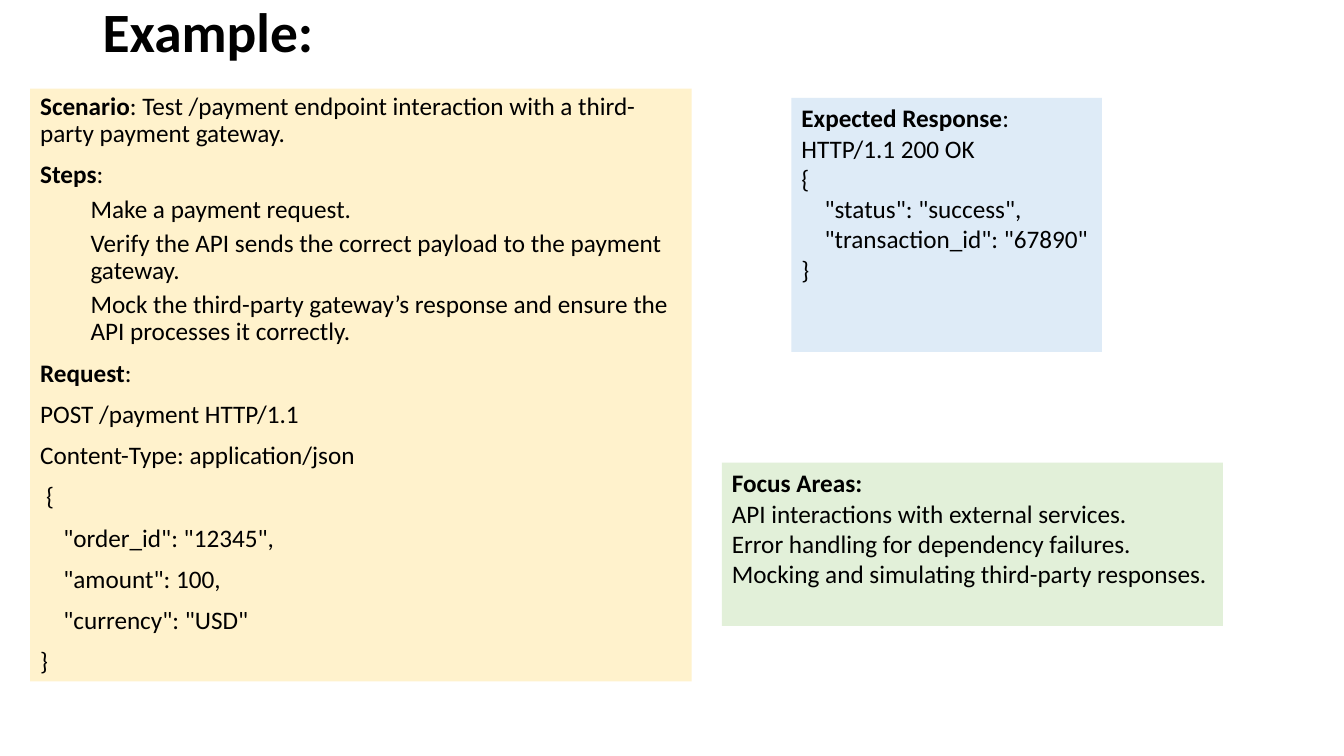
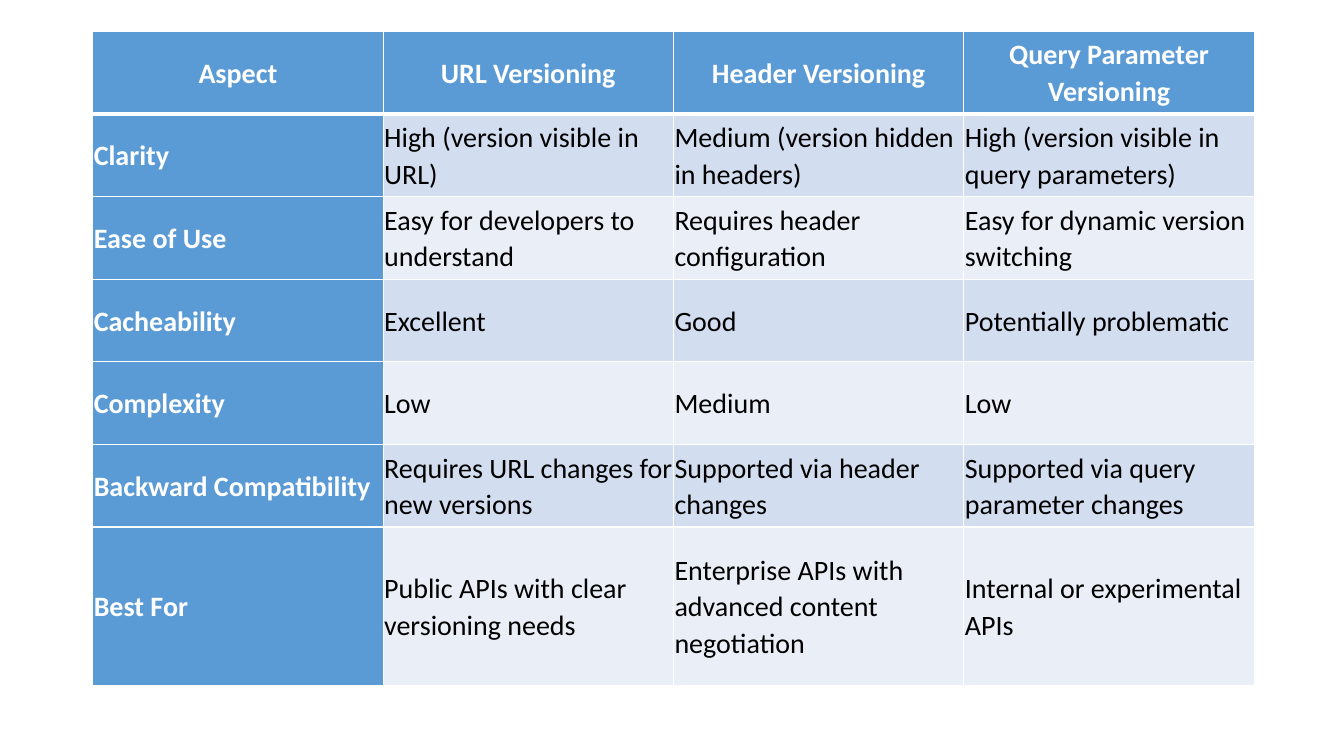
from lxml import etree
from pptx import Presentation
from pptx import util as u
from pptx.dml.color import RGBColor
from pptx.enum import shapes, text
from pptx.oxml.ns import qn

BLACK, WHITE, BLUE = "000000", "FFFFFF", "5B9BD5"
CREAM, GREEN, SKY = "FFF2CC", "E2F0D9", "DEEBF7"
BANDS = ["D2DEEF", "EAEFF7"]


def rgb(value):
    return RGBColor.from_string(value)


class Deck:
    """Holds the shared style and the current slide."""

    font = "Calibri"

    def __init__(self):
        self.prs = Presentation()
        self.prs.slide_width = u.Inches(13.33)
        self.prs.slide_height = u.Inches(7.5)
        self.s = None

    def slide(self):
        self.s = self.prs.slides.add_slide(self.prs.slide_layouts[6])

    def run(self, p, words, size=18, bold=False, color=BLACK):
        r = p.add_run()
        r.text = words
        r.font.name = self.font
        r.font.size = u.Pt(size)
        r.font.bold = bold
        r.font.color.rgb = rgb(color)

    def title(self, words):
        tf = self.s.shapes.add_textbox(
            u.Inches(0.92), u.Inches(0.04), u.Inches(11.5), u.Inches(0.6)).text_frame
        tf.word_wrap = True
        tf.vertical_anchor = text.MSO_ANCHOR.MIDDLE
        tf.margin_top = tf.margin_bottom = 0
        p = tf.paragraphs[0]
        p.line_spacing = 0.9
        self.run(p, words, 39.6, True)

    def panel(self, x, y, w, h, fill, lines, spacing=1.0, gap=0, step_gap=0):
        sp = self.s.shapes.add_shape(
            shapes.MSO_SHAPE.RECTANGLE, u.Inches(x), u.Inches(y), u.Inches(w), u.Inches(h))
        sp.shadow.inherit = False
        sp.fill.solid()
        sp.fill.fore_color.rgb = rgb(fill)
        sp.line.fill.background()
        tf = sp.text_frame
        tf.word_wrap = True
        tf.vertical_anchor = text.MSO_ANCHOR.TOP
        for i, (heading, words, indent) in enumerate(lines):
            p = tf.add_paragraph() if i else tf.paragraphs[0]
            p.alignment = text.PP_ALIGN.LEFT
            p.line_spacing = spacing
            is_step = indent == STEP
            p.space_before = u.Pt((step_gap if is_step else gap) if i else 0)
            p.level = 1 if is_step else 0
            pPr = p._p.get_or_add_pPr()
            pPr.set("marL", str(u.Inches(indent)))
            pPr.set("indent", "0")
            if heading:
                self.run(p, heading, bold=True)
            if words:
                self.run(p, words)

    def border(self, cell, **widths):
        tcPr = cell._tc.get_or_add_tcPr()
        for i, side in enumerate("LRTB"):
            ln = etree.Element(qn("a:ln" + side), w=str(u.Pt(widths.get(side, 1))))
            fill = etree.SubElement(ln, qn("a:solidFill"))
            etree.SubElement(fill, qn("a:srgbClr"), val=WHITE)
            tcPr.insert(i, ln)

    def table(self, x, y, widths, heights, rows):
        table = self.s.shapes.add_table(
            len(rows), len(widths), u.Inches(x), u.Inches(y),
            u.Inches(sum(widths)), u.Inches(sum(heights))).table
        table.first_col = True
        for column, w in zip(table.columns, widths):
            column.width = u.Inches(w)
        for row, h in zip(table.rows, heights):
            row.height = u.Inches(h)
        for i, row in enumerate(rows):
            for j, words in enumerate(row):
                cell = table.cell(i, j)
                label = i == 0 or j == 0
                cell.fill.solid()
                cell.fill.fore_color.rgb = rgb(BLUE if label else BANDS[(i - 1) % 2])
                cell.vertical_anchor = text.MSO_ANCHOR.MIDDLE
                cell.margin_left = cell.margin_right = u.Inches(0.01)
                cell.margin_top = cell.margin_bottom = u.Inches(0.01)
                p = cell.text_frame.paragraphs[0]
                p.alignment = text.PP_ALIGN.LEFT if i else text.PP_ALIGN.CENTER
                p.line_spacing = 1.07
                self.run(p, words, 20, label, WHITE if label else BLACK)
                self.border(cell, T=3 if i == 1 else 1, B=1 if i else 3)


STEP, FIELD, BRACE = 0.5, 0.23, 0.06

SCENARIO = [
    ("Scenario", ": Test /payment endpoint interaction with a third-party payment gateway.", 0),
    ("Steps", ":", 0),
    ("", "Make a payment request.", STEP),
    ("", "Verify the API sends the correct payload to the payment gateway.", STEP),
    ("", "Mock the third-party gateway’s response and ensure the API processes it correctly.", STEP),
    ("Request", ":", 0),
    ("", "POST /payment HTTP/1.1", 0),
    ("", "Content-Type: application/json", 0),
    ("", "{", BRACE),
    ("", '"order_id": "12345",', FIELD),
    ("", '"amount": 100,', FIELD),
    ("", '"currency": "USD"', FIELD),
    ("", "}", 0),
]
FOCUS = [
    ("Focus Areas:", "", 0),
    ("", "API interactions with external services.", 0),
    ("", "Error handling for dependency failures.", 0),
    ("", "Mocking and simulating third-party responses.", 0),
]
RESPONSE = [
    ("Expected Response", ":", 0),
    ("", "HTTP/1.1 200 OK", 0),
    ("", "{", 0),
    ("", '"status": "success",', FIELD),
    ("", '"transaction_id": "67890"', FIELD),
    ("", "}", 0),
]
VERSIONING = [
    ["Aspect", "URL Versioning", "Header Versioning", "Query Parameter Versioning"],
    ["Clarity", "High (version visible in URL)", "Medium (version hidden in headers)",
     "High (version visible in query parameters)"],
    ["Ease of Use", "Easy for developers to understand", "Requires header configuration",
     "Easy for dynamic version switching"],
    ["Cacheability", "Excellent", "Good", "Potentially problematic"],
    ["Complexity", "Low", "Medium", "Low"],
    ["Backward Compatibility", "Requires URL changes for new versions",
     "Supported via header changes", "Supported via query parameter changes"],
    ["Best For", "Public APIs with clear versioning needs",
     "Enterprise APIs with advanced content negotiation", "Internal or experimental APIs"],
]


def main():
    deck = Deck()
    deck.slide()
    deck.title("Example:")
    deck.panel(0.3, 0.88, 6.56, 5.88, CREAM, SCENARIO, spacing=0.9, gap=10, step_gap=5)
    deck.panel(7.16, 4.59, 4.97, 1.62, GREEN, FOCUS)
    deck.panel(7.85, 0.97, 3.08, 2.52, SKY, RESPONSE)
    deck.slide()
    deck.table(0.92, 0.31, [2.88] * 4, [0.82] * 6 + [1.57], VERSIONING)
    deck.prs.save("out.pptx")


if __name__ == "__main__":
    main()
